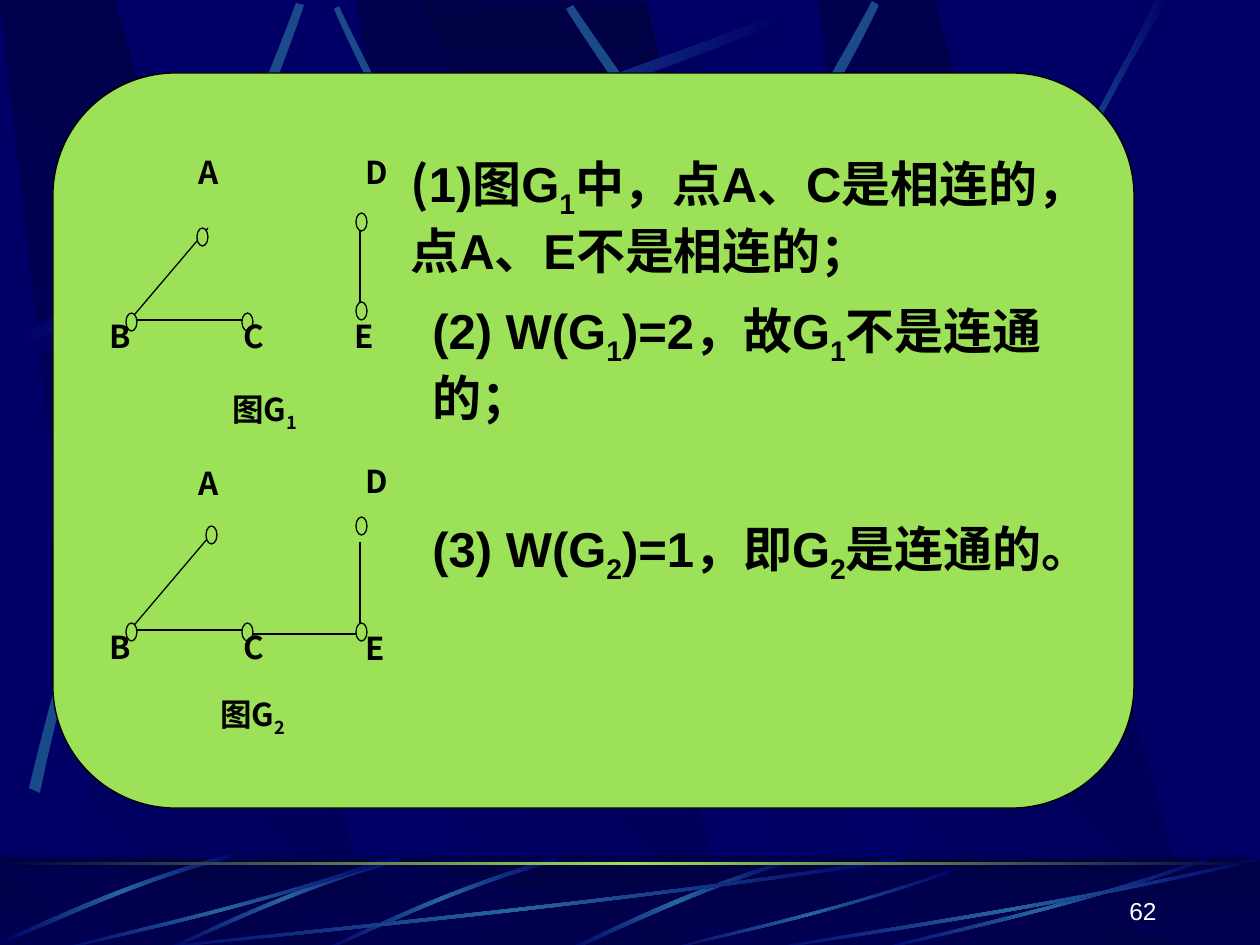
from copy import deepcopy
from lxml.etree import SubElement
from pptx import Presentation
from pptx.dml.color import RGBColor
from pptx.enum.shapes import MSO_CONNECTOR as LINK, MSO_SHAPE as SHAPE
from pptx.enum.text import MSO_ANCHOR as ANCHOR, PP_ALIGN as ALIGN
from pptx.oxml.ns import qn
from pptx.util import Pt

SCALE = 914400 / 126
NAVY, DARK, BLUE, STEEL = "000066", "000044", "2663A0", "1B4A8B"
GREEN, BLACK, WHITE = "9CE157", "000000", "FFFFFF"
SANS, ARIAL = "Noto Sans CJK SC", "Arial"

SHINE = [(0, NAVY), (0.5, BLUE), (1, NAVY)]
SHADE = [(0, NAVY), (0.5, DARK), (1, NAVY)]
FLAT = [(0, STEEL), (1, STEEL)]
FADE = [(0, NAVY), (1, DARK)]
RISE = [(0, DARK), (1, NAVY)]
GLOW = [(0, DARK), (0.5, GREEN), (1, DARK)]

BEAMS = [
    (SHADE, [(25, 346), (358, 169), (660, 74), (789, 23)],
     [(793, 30), (665, 87), (320, 190), (29, 359)]),
    (FLAT, [(580, 549), (493, 295), (381, 97), (339, 6)],
     [(334, 9), (372, 100), (501, 325), (572, 553)]),
    (SHINE, [(18, 336), (350, 158), (653, 64), (781, 13)],
     [(785, 20), (658, 77), (312, 180), (21, 349)]),
    (FLAT, [(29, 788), (117, 421), (248, 132), (296, 3)],
     [(304, 5), (261, 137), (108, 464), (40, 793)]),
    (FLAT, [(485, 774), (627, 403), (804, 129), (872, 1)],
     [(879, 5), (818, 136), (612, 447), (496, 782)]),
    (FLAT, [(1016, 706), (844, 369), (650, 120), (573, 5)],
     [(566, 9), (639, 127), (863, 410), (1007, 714)]),
    (SHINE, [(930, 496), (1026, 218), (1119, 83), (1155, 0)],
     [(1168, 0), (1053, 183), (969, 406), (937, 500)]),
]
RAYS = [
    (SHINE, [(790, 859), (677, 893), (601, 935), (564, 950)],
     [(571, 951), (617, 930), (719, 882), (791, 863)]),
    (SHINE, [(557, 857), (447, 888), (362, 932), (323, 949)],
     [(324, 951), (363, 936), (460, 886), (559, 861)]),
    (SHINE, [(399, 857), (290, 888), (204, 932), (165, 949)],
     [(166, 951), (205, 936), (302, 886), (402, 861)]),
    (SHINE, [(234, 853), (125, 882), (42, 923), (3, 940)],
     [(4, 942), (43, 929), (139, 879), (237, 857)]),
]
SWEEPS = [(126, 857, 777, 95), (53, 857, 336, 95), (664, 868, 291, 83),
          (872, 857, 336, 95), (756, 857, 504, 95)]
UPPER = [(1, 0.04), (0.57, 0.57), (0.17, 0.85), (0, 1)]
LOWER = [(0, 0.99), (0.16, 0.81), (0.61, 0.51), (1, 0)]

GRAPHS = [
    {"edges": [(130, 320, 208, 228), (130, 320, 253, 320), (360, 220, 360, 312)],
     "nodes": [(197, 228), (126, 313), (242, 313), (356, 213), (356, 302)],
     "names": [(186, 147), (97, 311), (231, 311), (353, 147), (342, 311)]},
    {"edges": [(130, 630, 208, 538), (130, 630, 253, 630),
               (253, 634, 360, 634), (360, 542, 360, 634)],
     "nodes": [(206, 526), (126, 623), (242, 623), (356, 517), (356, 623)],
     "names": [(186, 458), (97, 622), (231, 622), (353, 456), (353, 623)]},
]
TITLES = [("图G_1", 220, 384, 267), ("图G_2", 208, 689, 189)]
NOTES = [("(__1)图G_1_中，点A、C是相连的，点A、E不是相连的；", 398, 147, 669),
         ("(2) W(G_1_)=2，故G_1_不是连通的；", 420, 294, 658),
         ("(3) W(G_2_)=1，即G_2_是连通的。", 420, 512, 659)]


def px(*sizes):
    return [round(size * SCALE) for size in sizes]


def tint(code):
    return RGBColor.from_string(code)


def blend(shape, stops, angle=0):
    fill = shape.fill
    fill.gradient()
    fill.gradient_angle = angle
    first = fill.gradient_stops
    if len(stops) > len(first):
        bar = shape._element.spPr.find(qn("a:gradFill")).find(qn("a:gsLst"))
        bar.append(deepcopy(bar[-1]))
    for stop, (place, code) in zip(fill.gradient_stops, stops):
        stop.position = place
        stop.color.rgb = tint(code)


def plain(shape, code):
    shape.fill.solid()
    shape.fill.fore_color.rgb = tint(code)


def edge(line):
    line.color.rgb = tint(BLACK)
    line.width = Pt(0.75)


def block(slide, kind, *box):
    shape = slide.shapes.add_shape(kind, *px(*box))
    shape.shadow.inherit = False
    shape.line.fill.background()
    return shape


def solid(slide, kind, *box):
    shape = block(slide, kind, *box)
    plain(shape, GREEN)
    edge(shape.line)
    return shape


def patch(slide, points, stops, angle=0):
    spots = [px(*point) for point in points]
    draft = slide.shapes.build_freeform(*spots[0], scale=1.0)
    draft.add_line_segments(spots[1:], close=True)
    shape = draft.convert_to_shape()
    shape.shadow.inherit = False
    shape.line.fill.background()
    blend(shape, stops, angle)
    return shape


def beam(slide, stops, near, far):
    shape = patch(slide, near + far, stops)
    lines = list(shape._element.iter(qn("a:lnTo")))
    for trio in (lines[:3], lines[4:7]):
        outline = trio[0].getparent()
        bend = SubElement(outline, qn("a:cubicBezTo"))
        outline.insert(outline.index(trio[0]), bend)
        for line in trio:
            bend.append(line[0])
            outline.remove(line)


def shafts(slide, top, base):
    for left in (357, 0, 819):
        patch(slide, [(left + 108, base), (left + 380, base),
                      (left + 115, top), (left, top)], FADE, 45)
    patch(slide, [(420, top), (829, base), (874, base), (646, top)], RISE, 270)


def scene(slide):
    plain(slide.background, NAVY)
    shafts(slide, 1, 947)
    for item in BEAMS:
        beam(slide, *item)
    blend(block(slide, SHAPE.RECTANGLE, 0, 857, 1260, 95), RISE, 270)
    shafts(slide, 867, 951)
    veil = block(slide, SHAPE.RECTANGLE, 0, 857, 1260, 95)
    plain(veil, DARK)
    color = veil._element.spPr.find(qn("a:solidFill"))[0]
    SubElement(color, qn("a:alpha")).set("val", "50000")
    for item in RAYS:
        beam(slide, *item)
    for left, top, width, height in SWEEPS:
        sides = [[(left + x * width, top + y * height) for x, y in side]
                 for side in (UPPER, LOWER)]
        beam(slide, SHINE, *sides)
    blend(block(slide, SHAPE.RECTANGLE, 0, 862, 1260, 3), GLOW)


def settle(slide, master):
    tree = master.shapes.element
    for index, shape in enumerate(list(slide.shapes), 2):
        tree.insert(index, shape.element)


def link(slide, *ends):
    line = slide.shapes.add_connector(LINK.STRAIGHT, *px(*ends))
    edge(line.line)
    SubElement(line._element.spPr, qn("a:effectLst"))


def label(slide, text, box, size, face=SANS, code=BLACK, bold=True):
    frame = slide.shapes.add_textbox(*px(*box)).text_frame
    frame.word_wrap = True
    para = frame.paragraphs[0]
    for index, part in enumerate(text.split("_")):
        if not part:
            continue
        run = para.add_run()
        run.text = part
        font = run.font
        font.size, font.bold, font.name = Pt(size), bold, face
        font.color.rgb = tint(code)
        SubElement(font._element, qn("a:ea")).set("typeface", SANS)
        if index % 2:
            font._element.set("baseline", "-25000")
    return frame


def graph(slide, edges, nodes, names):
    for ends in edges:
        link(slide, *ends)
    for spot in nodes:
        solid(slide, SHAPE.OVAL, *spot, 11, 18)
    for name, spot in zip("ABCDE", names):
        label(slide, name, (*spot, 89, 93), 18)


def main():
    deck = Presentation()
    deck.slide_width, deck.slide_height = px(1260, 945)
    slide = deck.slides.add_slide(deck.slide_layouts[6])
    scene(slide)
    settle(slide, deck.slide_master)
    solid(slide, SHAPE.ROUNDED_RECTANGLE, 53, 73, 1081, 735)
    for item in GRAPHS:
        graph(slide, **item)
    for text, left, top, width in TITLES:
        label(slide, text, (left, top, width, 93), 18)
    notes = [label(slide, text, (left, top, width, 131), 28, ARIAL)
             for text, left, top, width in NOTES]
    notes[0].paragraphs[0].runs[0].font.name = SANS
    page = label(slide, "62", (907, 869, 262, 63), 14, ARIAL, WHITE, False)
    page.vertical_anchor = ANCHOR.BOTTOM
    page.paragraphs[0].alignment = ALIGN.RIGHT
    deck.save("out.pptx")


if __name__ == "__main__":
    main()
